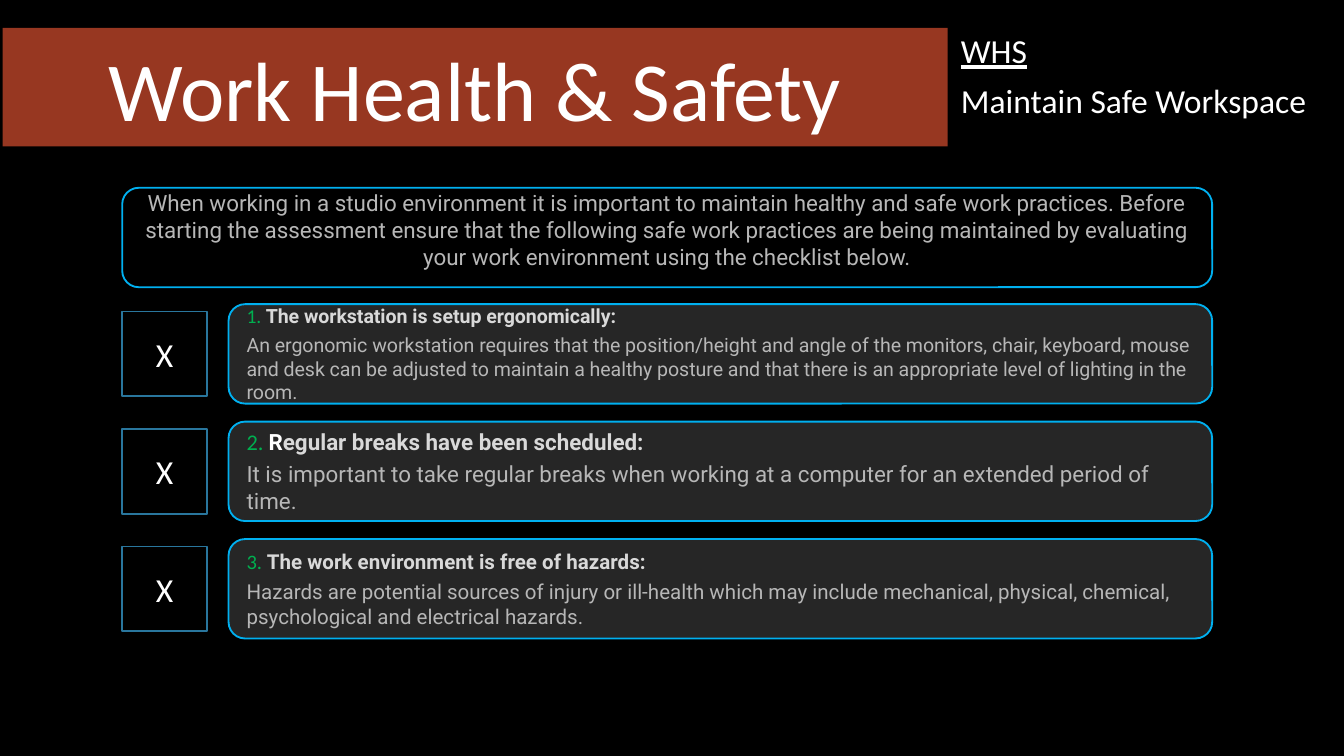
from lxml.etree import SubElement
from pptx import Presentation
from pptx.dml.color import RGBColor
from pptx.enum.shapes import MSO_SHAPE
from pptx.enum.text import MSO_ANCHOR, PP_ALIGN
from pptx.oxml import parse_xml
from pptx.oxml.ns import nsdecls, qn
from pptx.util import Cm, Pt

BLACK = RGBColor(0x00, 0x00, 0x00)
WHITE = RGBColor(0xFF, 0xFF, 0xFF)
RUST = RGBColor(0x97, 0x37, 0x21)
CHARCOAL = RGBColor(0x26, 0x26, 0x26)
SKY = RGBColor(0x00, 0xB0, 0xF0)
STEEL = RGBColor(0x29, 0x76, 0x9D)
GREEN = RGBColor(0x00, 0xB0, 0x50)
LIGHT_GREY = RGBColor(0xD9, 0xD9, 0xD9)
GREY = RGBColor(0xB7, 0xB7, 0xB7)

INTRO = (
    "When working in a studio environment it is important to maintain healthy "
    "and safe work practices. Before starting the assessment ensure that the "
    "following safe work practices are being maintained by evaluating your "
    "work environment using the checklist below."
)

# Text size, heading parts with their colours, explanation
PRACTICES = [
    (10.5, [("The workstation is setup ergonomically:", LIGHT_GREY)],
     "An ergonomic workstation requires that the position/height and angle of "
     "the monitors, chair, keyboard, mouse and desk can be adjusted to maintain "
     "a healthy posture and that there is an appropriate level of lighting in "
     "the room."),
    (12, [("R", WHITE), ("egular breaks have been scheduled:", LIGHT_GREY)],
     "It is important to take regular breaks when working at a computer for an "
     "extended period of time."),
    (11, [("The work environment is free of hazards:", LIGHT_GREY)],
     "Hazards are potential sources of injury or ill-health which may include "
     "mechanical, physical, chemical, psychological and electrical hazards."),
]


def add_run(paragraph, text, size, color, font="Calibri", bold=False, underline=False):
    run = paragraph.add_run()
    run.text = text
    run.font.name = font
    run.font.size = Pt(size)
    run.font.color.rgb = color
    run.font.bold = bold
    run.font.underline = underline


def add_panel(slide, box, preset, fill, line=None, anchor=MSO_ANCHOR.MIDDLE):
    panel = slide.shapes.add_shape(preset, *map(Cm, box))
    panel.shadow.inherit = False
    panel.fill.solid()
    panel.fill.fore_color.rgb = fill
    if line is None:
        panel.line.fill.background()
    else:
        panel.line.color.rgb = line
        panel.line.width = Pt(1)
    panel.text_frame.word_wrap = True
    panel.text_frame.vertical_anchor = anchor
    return panel


def add_drop_shadow(panel):
    effects = panel._element.spPr.find(qn("a:effectLst"))
    shadow = SubElement(effects, qn("a:outerShdw"), blurRad=str(Pt(4)),
                        dist=str(Pt(3)), dir="2700000", rotWithShape="0")
    shadow.append(parse_xml(
        f'<a:srgbClr {nsdecls("a")} val="000000"><a:alpha val="40000"/></a:srgbClr>'))


def add_title(slide, box):
    banner = add_panel(slide, box, MSO_SHAPE.RECTANGLE, RUST, anchor=MSO_ANCHOR.BOTTOM)
    add_drop_shadow(banner)
    title = banner.text_frame.paragraphs[0]
    title.alignment = PP_ALIGN.CENTER
    title.line_spacing = 0.9
    add_run(title, "Work Health & Safety", 45, WHITE)


def add_topic(slide, box):
    frame = slide.shapes.add_textbox(*map(Cm, box)).text_frame
    frame.word_wrap = True
    unit, task = frame.paragraphs[0], frame.add_paragraph()
    for paragraph in (unit, task):
        paragraph.line_spacing = 0.9
        paragraph.space_before = Pt(7.5)
    add_run(unit, "WHS", 18, WHITE, underline=True)
    add_run(task, "Maintain Safe Workspace", 18, WHITE)


def add_intro(slide, box):
    frame = add_panel(slide, box, MSO_SHAPE.ROUNDED_RECTANGLE, BLACK, SKY).text_frame
    frame.margin_bottom = Cm(0.42)
    intro = frame.paragraphs[0]
    intro.alignment = PP_ALIGN.CENTER
    add_run(intro, INTRO, 12, GREY, "Roboto")


def add_practice(slide, box, number, size, heading_parts, explanation):
    frame = add_panel(slide, box, MSO_SHAPE.ROUNDED_RECTANGLE, CHARCOAL, SKY).text_frame
    heading, body = frame.paragraphs[0], frame.add_paragraph()
    for paragraph in (heading, body):
        paragraph.alignment = PP_ALIGN.LEFT
    if number > 1:
        heading.space_before = Pt(2.8)
    body.space_before = Pt(2.8)
    add_run(heading, f"{number}. ", size, GREEN)
    for text, color in heading_parts:
        add_run(heading, text, size, color, "Roboto", bold=True)
    add_run(body, explanation, size, GREY, "Roboto")


def add_checkbox(slide, box):
    checkbox = add_panel(slide, box, MSO_SHAPE.RECTANGLE, BLACK, STEEL)
    mark = checkbox.text_frame.paragraphs[0]
    mark.alignment = PP_ALIGN.CENTER
    add_run(mark, "X", 18, WHITE)


def add_checklist(slide, box):
    """Stack the practices over the box height, each with a checkbox at its left."""
    left, top, width, height = box
    row_height, check_size, indent = 1.88, 1.6, 2.01
    pitch = (height - row_height) / (len(PRACTICES) - 1)
    for index, practice in enumerate(PRACTICES):
        row_top = top + index * pitch
        add_practice(slide, (left + indent, row_top, width - indent, row_height),
                     index + 1, *practice)
        check_top = row_top + (row_height - check_size) / 2
        add_checkbox(slide, (left, check_top, check_size, check_size))


def main():
    presentation = Presentation()
    presentation.slide_width = Cm(25.4)
    presentation.slide_height = Cm(14.29)
    slide = presentation.slides.add_slide(presentation.slide_layouts[6])
    slide.background.fill.solid()
    slide.background.fill.fore_color.rgb = BLACK

    add_title(slide, (0.05, 0.53, 17.86, 2.24))
    add_topic(slide, (17.91, 0.53, 7.49, 3))
    add_intro(slide, (2.31, 3.55, 20.6, 1.88))
    add_checklist(slide, (2.31, 5.75, 20.6, 6.32))
    presentation.save("out.pptx")


if __name__ == "__main__":
    main()
